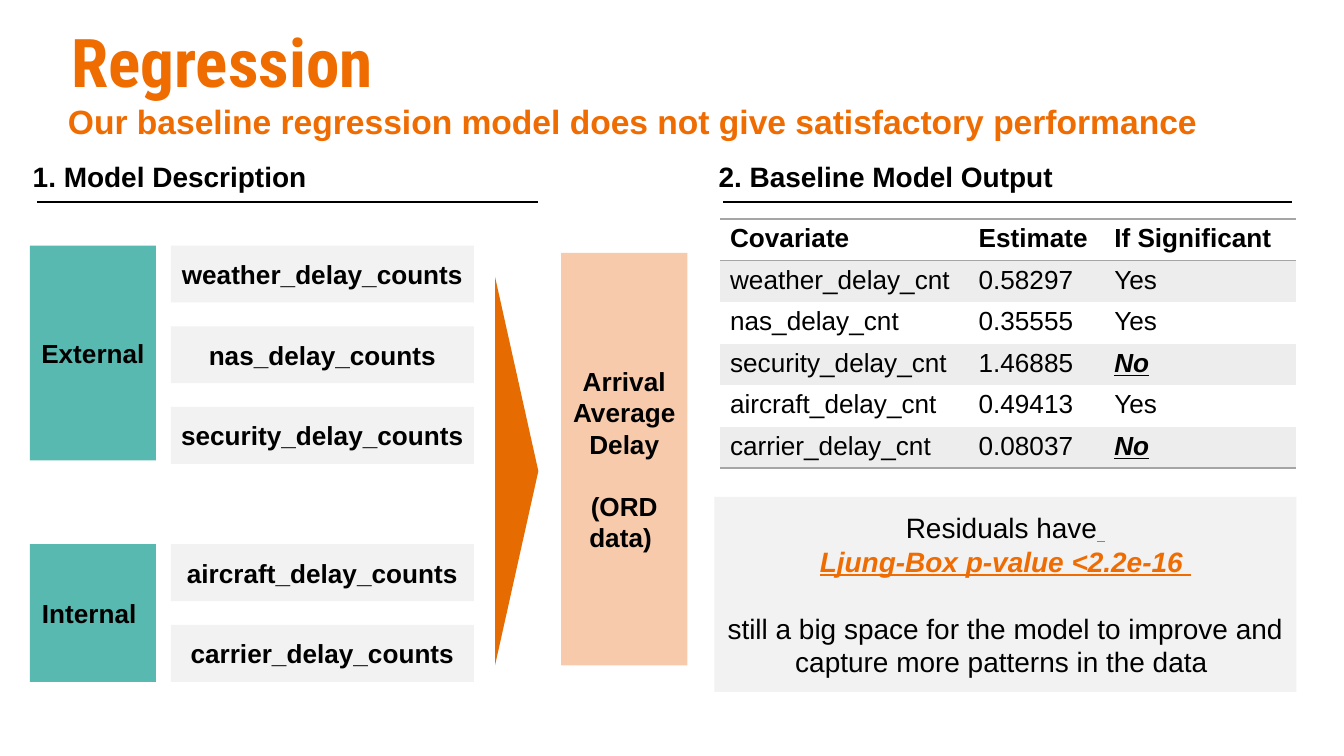
from lxml import etree
from pptx import Presentation
from pptx import util as u
from pptx.dml.color import RGBColor
from pptx.enum import shapes, text
from pptx.oxml import ns

COLORS = {
    "title": "EF6C00",
    "accent": "EF6C02",
    "arrow": "E66B00",
    "teal": "58B9B0",
    "peach": "F7CAAC",
    "panel": "F2F2F2",
    "band": "EDEDED",
    "rule": "A5A5A5",
    "white": "FFFFFF",
    "black": "000000",
}
NO_TABLE_STYLE = "{2D5ABB26-0587-4C30-8999-92F81FD0307C}"
EMPHASIS = dict(bold=True, italic=True, underline=True)


def color(name):
    return RGBColor.from_string(COLORS[name])


def write(paragraph, content, size=14, bold=False, italic=False, underline=False,
          ink="black", font="Arial", align=None, before=0):
    if align is not None:
        paragraph.alignment = align
    if before:
        paragraph.space_before = u.Pt(before)
    run = paragraph.add_run()
    run.text = content
    run.font.name = font
    run.font.size = u.Pt(size)
    run.font.bold = bold
    run.font.italic = italic
    run.font.underline = underline
    run.font.color.rgb = color(ink)


class SlideBuilder:
    def __init__(self, slide):
        self.slide = slide

    def set_margins(self, target, horizontal, vertical):
        target.margin_left = target.margin_right = u.Pt(horizontal)
        target.margin_top = target.margin_bottom = u.Pt(vertical)

    def label(self, content, left, top, width, height, margins, **style):
        box = self.slide.shapes.add_textbox(*map(u.Pt, (left, top, width, height)))
        frame = box.text_frame
        frame.word_wrap = True
        self.set_margins(frame, *margins)
        write(frame.paragraphs[0], content, bold=True, **style)

    def shape(self, kind, fill, left, top, width, height):
        shape = self.slide.shapes.add_shape(kind, *map(u.Pt, (left, top, width, height)))
        shape.shadow.inherit = False
        shape.fill.solid()
        shape.fill.fore_color.rgb = color(fill)
        shape.line.fill.background()
        return shape

    def block(self, paragraphs, fill, left, top, width, height):
        shape = self.shape(shapes.MSO_SHAPE.RECTANGLE, fill, left, top, width, height)
        frame = shape.text_frame
        frame.word_wrap = True
        frame.vertical_anchor = text.MSO_ANCHOR.MIDDLE
        self.set_margins(frame, 5, 2.7)
        for index, runs in enumerate(paragraphs):
            paragraph = frame.add_paragraph() if index else frame.paragraphs[0]
            for content, style in runs:
                write(paragraph, content, align=text.PP_ALIGN.CENTER, **style)

    def arrow(self, left, top, width, height):
        arrow = self.shape(shapes.MSO_SHAPE.ISOSCELES_TRIANGLE, "arrow",
                           left + (width - height) / 2, top + (height - width) / 2,
                           height, width)
        arrow.rotation = 90

    def section(self, title, left, line_width):
        self.label(title, left, 85.7, 367, 18, (2.2, 0), size=15)
        start = left + 4.7
        line = self.slide.shapes.add_connector(
            shapes.MSO_CONNECTOR.STRAIGHT, u.Pt(start), u.Pt(108),
            u.Pt(start + line_width), u.Pt(108))
        line.line.color.rgb = color("black")
        line.line.width = u.Pt(1)
        etree.SubElement(line._element.spPr, ns.qn("a:effectLst"))

    def border(self, cell, side):
        properties = cell._tc.get_or_add_tcPr()
        line = etree.SubElement(properties, ns.qn(f"a:{side}"), w=str(u.Pt(1)))
        fill = etree.SubElement(line, ns.qn("a:solidFill"))
        etree.SubElement(fill, ns.qn("a:srgbClr"), val=COLORS["rule"])

    def table(self, rows, left, top, widths, row_height):
        frame = self.slide.shapes.add_table(
            len(rows), len(widths), u.Pt(left), u.Pt(top),
            u.Pt(sum(widths)), u.Pt(row_height * len(rows)))
        table = frame.table
        table._tbl.tblPr.find(ns.qn("a:tableStyleId")).text = NO_TABLE_STYLE
        for column, width in zip(table.columns, widths):
            column.width = u.Pt(width)
        for r, values in enumerate(rows):
            table.rows[r].height = u.Pt(row_height)
            for c, value in enumerate(values):
                cell = table.cell(r, c)
                self.set_margins(cell, 5.4, 2.7)
                if r == 0:
                    self.border(cell, "lnT")
                if r in (0, len(rows) - 1):
                    self.border(cell, "lnB")
                cell.fill.solid()
                cell.fill.fore_color.rgb = color("band" if r % 2 else "white")
                style = EMPHASIS if value == "No" else dict(bold=r == 0)
                write(cell.text_frame.paragraphs[0], value, **style)


def main():
    presentation = Presentation()
    presentation.slide_width = u.Pt(720)
    presentation.slide_height = u.Pt(405)
    builder = SlideBuilder(presentation.slides.add_slide(presentation.slide_layouts[6]))

    builder.label("Our baseline regression model does not give satisfactory performance",
                  31, 51.2, 700, 27.4, (5.4, 2.7), size=18, ink="accent")
    builder.label("Regression", 31, 3.6, 236, 58, (7.2, 7.2),
                  size=36, ink="title", font="Roboto Condensed")

    builder.section("1. Model Description", 15.3, 268.5)
    bold = dict(bold=True)
    groups = [
        ("External ", 131.6, 115, ["weather", "nas", "security"]),
        ("Internal ", 291.6, 73.7, ["aircraft", "carrier"]),
    ]
    for name, top, height, factors in groups:
        builder.block([[(name, bold)]], "teal", 16, top, 67.6, height)
        for index, factor in enumerate(factors):
            builder.block([[(f"{factor}_delay_counts", bold)]], "panel",
                          91.5, top + index * 43.2, 162.4, 30.5)
    builder.arrow(265.2, 148.4, 23.2, 208)
    builder.block([[("Arrival Average Delay", bold)],
                   [("(ORD data) ", dict(bold=True, before=16.5))]],
                  "peach", 300.6, 135.5, 67.6, 221)

    builder.section("2. Baseline Model Output", 382.7, 304.8)
    builder.table([
        ("Covariate", "Estimate", "If Significant"),
        ("weather_delay_cnt", "0.58297", "Yes"),
        ("nas_delay_cnt", "0.35555", "Yes"),
        ("security_delay_cnt", "1.46885", "No"),
        ("aircraft_delay_cnt", "0.49413", "Yes"),
        ("carrier_delay_cnt", "0.08037", "No"),
    ], 385.7, 117.4, (133.2, 72.7, 102.8), 22.2)

    plain = dict(size=15)
    strong = dict(size=15, ink="accent", **EMPHASIS)
    builder.block([
        [("Residuals have", plain), (" ", strong)],
        [("Ljung-Box p-value <2.2e-16 ", strong)],
        [("still a big space for the model to improve and capture more patterns "
          "in the data ", dict(size=15, before=18))],
    ], "panel", 382.7, 266.2, 311.8, 104.5)

    presentation.save("out.pptx")


if __name__ == "__main__":
    main()
